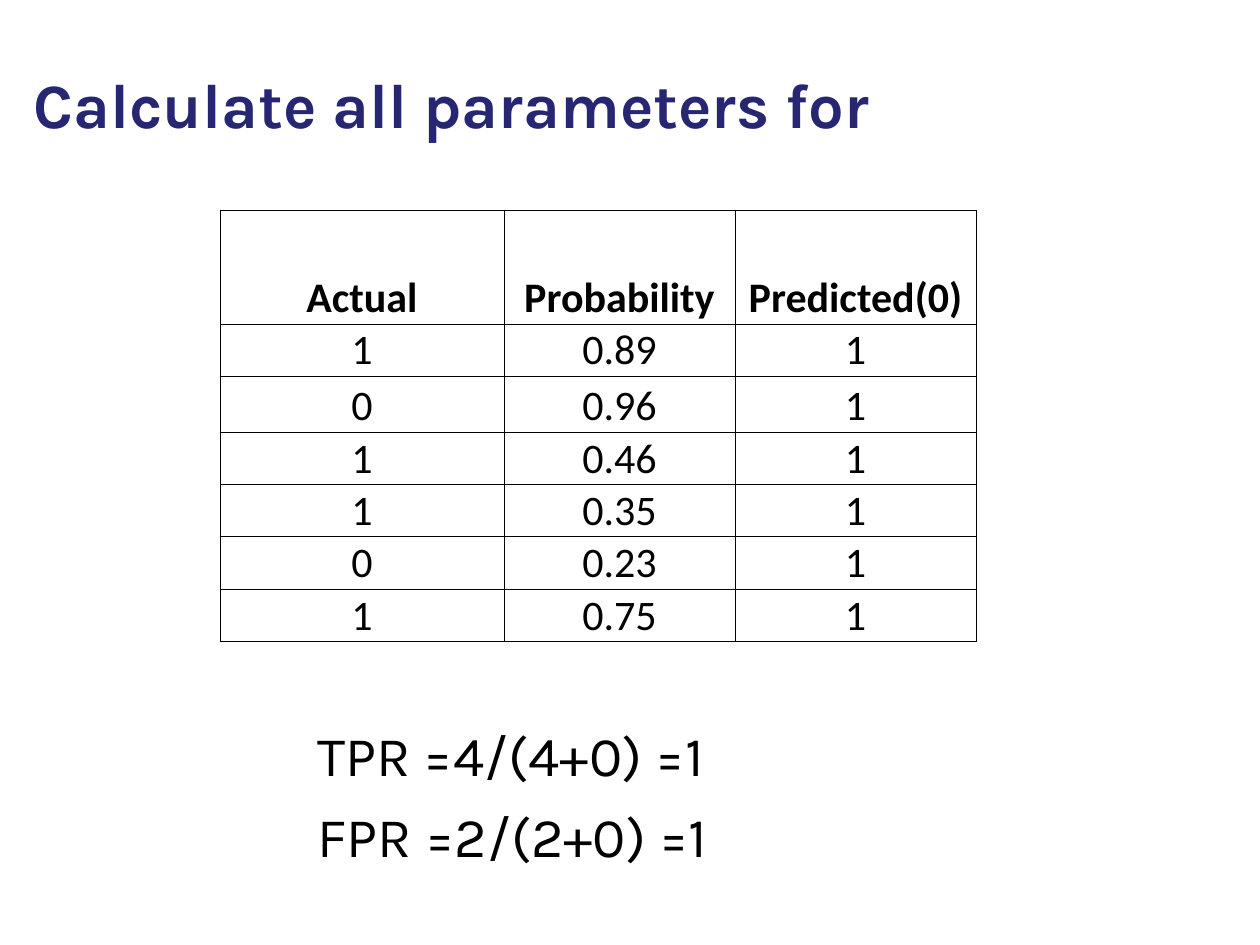
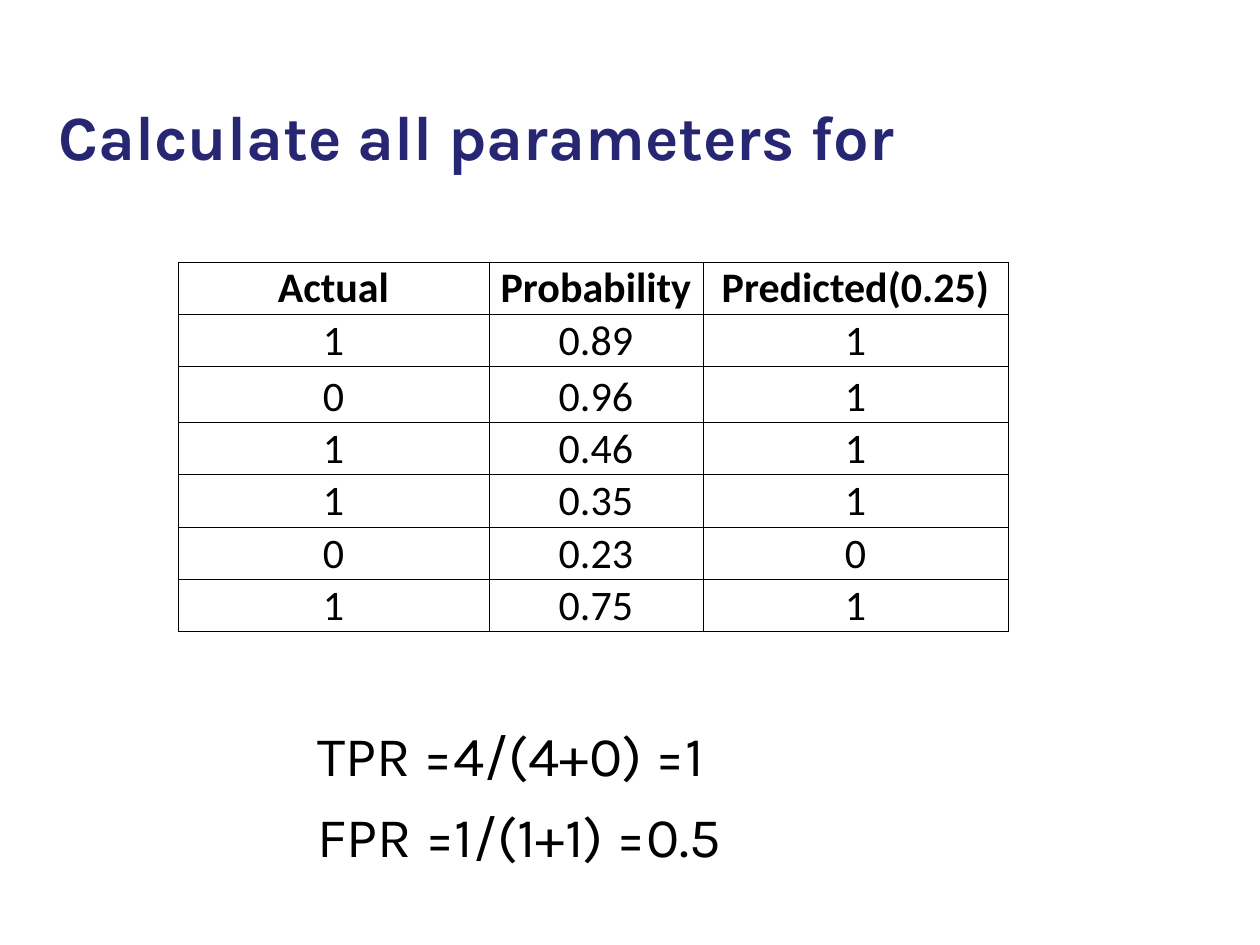
"""Build two slides on true and false positive rates at two cut-offs."""
from lxml import etree
from pptx import Presentation
from pptx.dml.color import RGBColor
from pptx.enum.text import MSO_ANCHOR, MSO_AUTO_SIZE, PP_ALIGN
from pptx.oxml.ns import qn
from pptx.util import Pt

LOW = MSO_ANCHOR.BOTTOM
FIXED = MSO_AUTO_SIZE.NONE
GROW = MSO_AUTO_SIZE.SHAPE_TO_FIT_TEXT
MID = PP_ALIGN.CENTER
LEFT = PP_ALIGN.LEFT

SCALE = 914400 / 126
NAVY, BLACK = "262673", "000000"
KARLA, PLAIN = "Karla", "Calibri"
SAMPLES = [(1, 0.89), (0, 0.96), (1, 0.46), (1, 0.35), (0, 0.23), (1, 0.75)]
ROW, TALL = 52, 56
RATE_X, RATE_Y, RATE_W, RATE_H = 305, 714, 557, 81


def px(n):
    return round(n * SCALE)


def rgb(code):
    return RGBColor.from_string(code)


class Deck:
    def __init__(self):
        self.prs = Presentation()
        self.prs.slide_width, self.prs.slide_height = px(1260), px(945)
        self.slide = None

    def style(self, frame, font, size, color, bold=False, align=LEFT):
        for para in frame.paragraphs:
            para.alignment = align
            for run in para.runs:
                run.font.name, run.font.size = font, Pt(size)
                run.font.bold = bold
                run.font.color.rgb = rgb(color)

    def title(self, text, x, y, w, h):
        self.slide = self.prs.slides.add_slide(self.prs.slide_layouts[5])
        shape = self.slide.shapes.title
        shape.left, shape.top, shape.width, shape.height = map(px, (x, y, w, h))
        frame = shape.text_frame
        frame.text = text
        frame.auto_size = FIXED
        frame.vertical_anchor = LOW
        self.style(frame, KARLA, 36, NAVY, True)

    def text(self, text, x, y, w, h):
        box = self.slide.shapes.add_textbox(*map(px, (x, y, w, h)))
        frame = box.text_frame
        frame.text = text
        frame.word_wrap = True
        frame.auto_size = GROW
        self.style(frame, KARLA, 32, BLACK)

    def border(self, cell):
        props = cell._tc.get_or_add_tcPr()
        for i, side in enumerate(("lnL", "lnR", "lnT", "lnB")):
            line = etree.Element(qn(f"a:{side}"), w=str(Pt(0.5)))
            fill = etree.SubElement(line, qn("a:solidFill"))
            etree.SubElement(fill, qn("a:srgbClr"), val=BLACK)
            props.insert(i, line)

    def cell(self, cell, text, bold):
        cell.text = text
        cell.vertical_anchor = LOW
        cell.margin_left = cell.margin_right = cell.margin_top = px(1)
        cell.margin_bottom = 0
        cell.fill.background()
        self.border(cell)
        self.style(cell.text_frame, PLAIN, 24, BLACK, bold, MID)

    def table(self, rows, x, y, cols, highs):
        frame = self.slide.shapes.add_table(
            len(rows), len(cols), px(x), px(y), px(sum(cols)), px(sum(highs)))
        grid = frame.table
        grid.first_row = grid.horz_banding = False
        for col, wide in zip(grid.columns, cols):
            col.width = px(wide)
        for r, (row, high) in enumerate(zip(rows, highs)):
            grid.rows[r].height = px(high)
            for c, value in enumerate(row):
                self.cell(grid.cell(r, c), str(value), r == 0)


def page(deck, cut, title, spot, cols, head, rates):
    deck.title("Calculate all parameters for", *title)
    rows = [("Actual", "Probability", f"Predicted({cut})")]
    rows += [(real, prob, int(prob > cut)) for real, prob in SAMPLES]
    deck.table(rows, *spot, cols, [head, ROW, TALL] + [ROW] * 4)
    for i, rate in enumerate(rates):
        deck.text(rate, RATE_X, RATE_Y + i * RATE_H, RATE_W, RATE_H)


def main():
    deck = Deck()
    page(deck, 0, (21, 31, 1074, 116), (220, 210), (284, 231, 241), 114,
         ("TPR =4/(4+0) =1", "FPR =2/(2+0) =1"))
    page(deck, 0.25, (46, 21, 1074, 158), (178, 262), (311, 214, 305), ROW,
         ("TPR =4/(4+0) =1", "FPR =1/(1+1) =0.5"))
    deck.prs.save("out.pptx")


if __name__ == "__main__":
    main()
